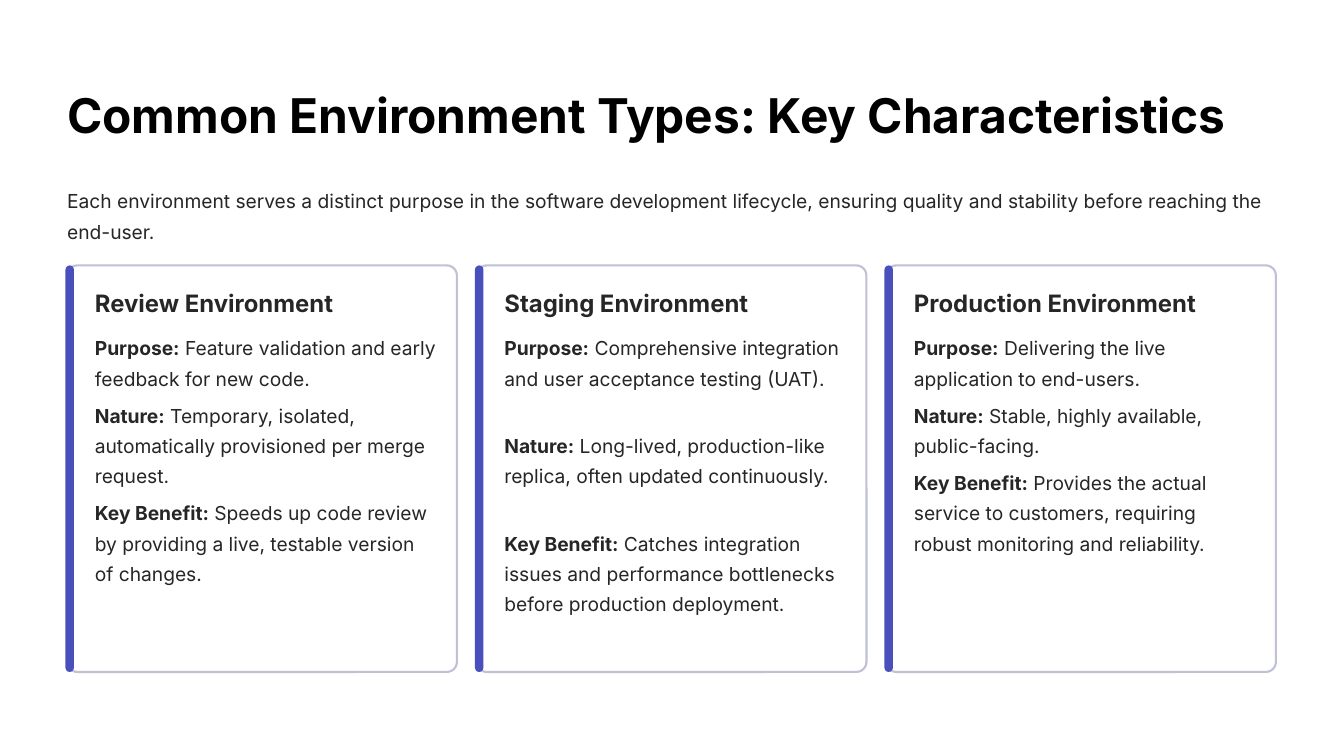
from dataclasses import dataclass

from pptx import Presentation
from pptx.dml.color import RGBColor
from pptx.enum.shapes import MSO_SHAPE
from pptx.enum.text import MSO_ANCHOR, MSO_AUTO_SIZE, PP_ALIGN
from pptx.util import Inches, Pt

ROUNDED = MSO_SHAPE.ROUNDED_RECTANGLE
TOP = MSO_ANCHOR.TOP
NO_AUTOFIT = MSO_AUTO_SIZE.NONE
LEFT = PP_ALIGN.LEFT
TITLE_ONLY = 5


@dataclass(frozen=True)
class TextStyle:
    size: float
    line_spacing: float
    color: RGBColor
    bold: bool = False


@dataclass(frozen=True)
class Theme:
    font: str = "Inter"
    white: RGBColor = RGBColor(0xFF, 0xFF, 0xFF)
    accent: RGBColor = RGBColor(0x49, 0x50, 0xBC)
    border: RGBColor = RGBColor(0xC0, 0xC1, 0xD7)
    border_width: float = 1.8
    title: TextStyle = TextStyle(41, 51.5, RGBColor(0, 0, 0), True)
    heading: TextStyle = TextStyle(20.5, 25.5, RGBColor(0x27, 0x25, 0x25), True)
    body: TextStyle = TextStyle(16.5, 26, RGBColor(0x27, 0x25, 0x25))


# Content: each item is a label, its text and the lines reserved for it
TITLE = "Common Environment Types: Key Characteristics"
INTRO = (
    "Each environment serves a distinct purpose in the software development "
    "lifecycle, ensuring quality and stability before reaching the end-user."
)
CARDS = [
    ("Review Environment", [
        ("Purpose:", " Feature validation and early feedback for new code.", 2),
        ("Nature:", " Temporary, isolated, automatically provisioned per merge request.", 3),
        ("Key Benefit:", " Speeds up code review by providing a live, testable version of changes.", 3),
    ]),
    ("Staging Environment", [
        ("Purpose:", " Comprehensive integration and user acceptance testing (UAT).", 3),
        ("Nature:", " Long-lived, production-like replica, often updated continuously.", 3),
        ("Key Benefit:", " Catches integration issues and performance bottlenecks before production deployment.", 4),
    ]),
    ("Production Environment", [
        ("Purpose:", " Delivering the live application to end-users.", 2),
        ("Nature:", " Stable, highly available, public-facing.", 2),
        ("Key Benefit:", " Provides the actual service to customers, requiring robust monitoring and reliability.", 3),
    ]),
]

# Layout, in inches
MARGIN = 0.8
CONTENT_WIDTH = 14.39
CARD_TOP, CARD_WIDTH, CARD_HEIGHT = 3.16, 4.64, 4.84
CARD_PITCH = (CONTENT_WIDTH - CARD_WIDTH) / (len(CARDS) - 1)
BAR_WIDTH, BAR_OVERHANG = 0.1, 0.02
TEXT_INSET, TEXT_WIDTH = 0.33, 4.08
HEADING_TOP, ITEMS_TOP = 3.42, 3.92
ITEM_GAP = 0.08


class SlideBuilder:
    def __init__(self, slide, theme):
        self.slide = slide
        self.theme = theme

    def fill_text(self, shape, style, runs, wrap=True):
        """Write (text, bold) runs as one paragraph without insets."""
        frame = shape.text_frame
        frame.margin_left = frame.margin_right = 0
        frame.margin_top = frame.margin_bottom = 0
        frame.auto_size = NO_AUTOFIT
        frame.vertical_anchor = TOP
        frame.word_wrap = wrap
        paragraph = frame.paragraphs[0]
        paragraph.alignment = LEFT
        paragraph.line_spacing = Pt(style.line_spacing)
        paragraph.font.name = self.theme.font
        paragraph.font.size = Pt(style.size)
        paragraph.font.color.rgb = style.color
        paragraph.font.bold = style.bold
        for text, bold in runs:
            run = paragraph.add_run()
            run.text = text
            if bold != style.bold:
                run.font.bold = bold

    def title(self, text, left, top, width, height):
        shape = self.slide.shapes.title
        shape.left, shape.top = Inches(left), Inches(top)
        shape.width, shape.height = Inches(width), Inches(height)
        style = self.theme.title
        self.fill_text(shape, style, [(text, style.bold)], wrap=False)

    def text(self, runs, style, left, top, width, height, wrap=True):
        shape = self.slide.shapes.add_textbox(
            Inches(left), Inches(top), Inches(width), Inches(height))
        self.fill_text(shape, style, runs, wrap)

    def rounded_box(self, left, top, width, height, radius, fill, line=None):
        shape = self.slide.shapes.add_shape(
            ROUNDED, Inches(left), Inches(top), Inches(width), Inches(height))
        shape.adjustments[0] = radius
        shape.shadow.inherit = False
        shape.fill.solid()
        shape.fill.fore_color.rgb = fill
        if line is None:
            shape.line.fill.background()
        else:
            shape.line.color.rgb = line
            shape.line.width = Pt(self.theme.border_width)

    def card(self, left, heading, items):
        theme = self.theme
        # Frame and accent bar
        self.rounded_box(left, CARD_TOP, CARD_WIDTH, CARD_HEIGHT, 0.026,
                         theme.white, theme.border)
        self.rounded_box(left - BAR_OVERHANG, CARD_TOP, BAR_WIDTH, CARD_HEIGHT,
                         0.5, theme.accent)
        # Heading and labelled items
        text_left = left + TEXT_INSET
        self.text([(heading, True)], theme.heading, text_left, HEADING_TOP,
                  TEXT_WIDTH, 0.36, wrap=False)
        top = ITEMS_TOP
        for label, description, lines in items:
            height = lines * theme.body.line_spacing / 72
            self.text([(label, True), (description, False)], theme.body,
                      text_left, top, TEXT_WIDTH, height)
            top += height + ITEM_GAP


def main():
    presentation = Presentation()
    presentation.slide_width, presentation.slide_height = Inches(16), Inches(9)
    slide = presentation.slides.add_slide(presentation.slide_layouts[TITLE_ONLY])
    theme = Theme()
    builder = SlideBuilder(slide, theme)

    # Title and introduction
    builder.title(TITLE, MARGIN, 0.99, 13.91, 0.72)
    builder.text([(INTRO, False)], theme.body, MARGIN, 2.17, CONTENT_WIDTH, 0.73)

    # Environment cards
    for index, (heading, items) in enumerate(CARDS):
        builder.card(MARGIN + index * CARD_PITCH, heading, items)

    presentation.save("out.pptx")


if __name__ == "__main__":
    main()
